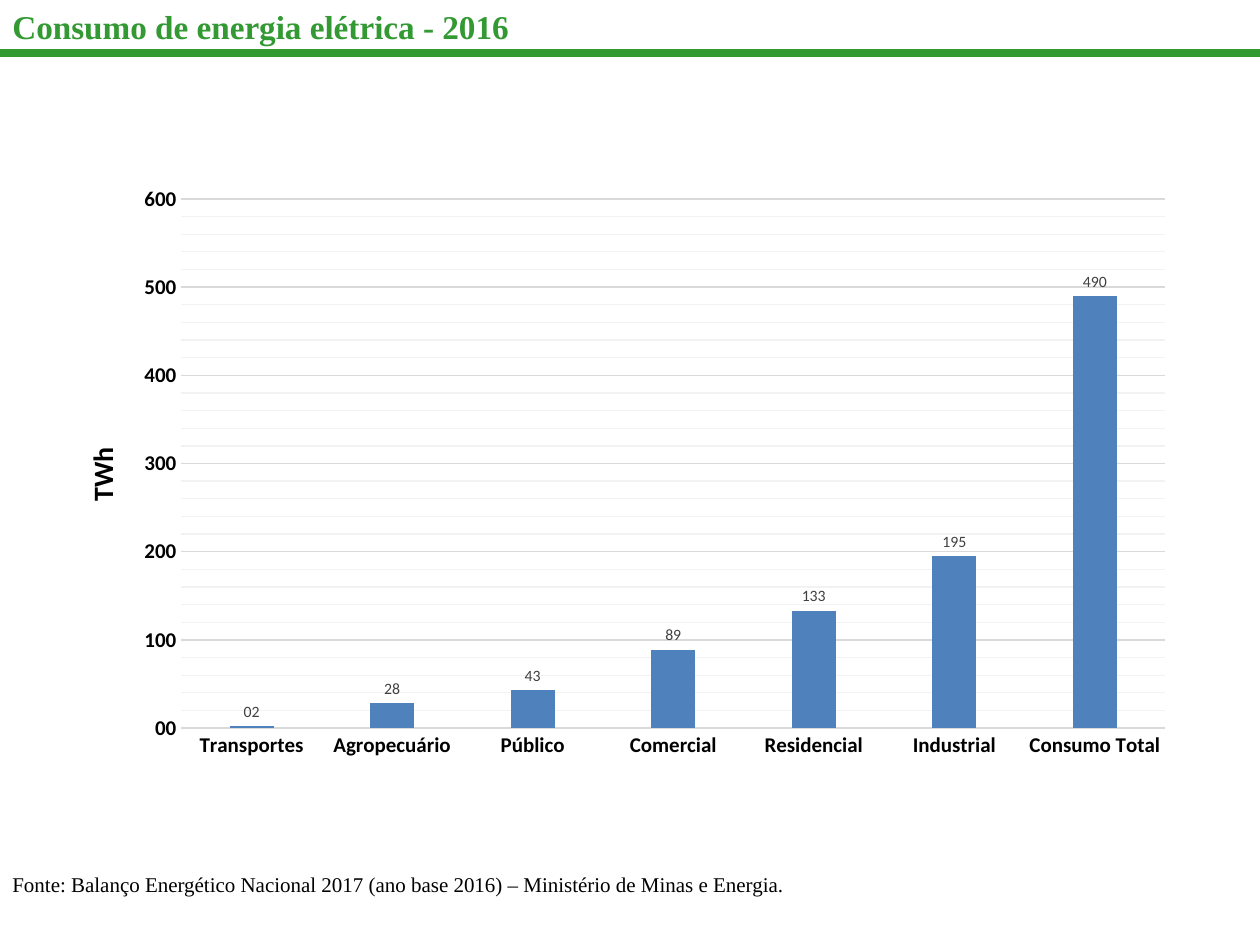
from copy import deepcopy

from lxml import etree
from pptx import Presentation
from pptx.chart.data import CategoryChartData
from pptx.dml.color import RGBColor
from pptx.enum.chart import XL_CHART_TYPE, XL_LABEL_POSITION, XL_TICK_MARK
from pptx.enum.shapes import MSO_CONNECTOR
from pptx.oxml.ns import qn
from pptx.util import Inches, Pt

COLUMN = XL_CHART_TYPE.COLUMN_CLUSTERED
OUTSIDE_END = XL_LABEL_POSITION.OUTSIDE_END
NO_TICK = XL_TICK_MARK.NONE
STRAIGHT = MSO_CONNECTOR.STRAIGHT

GREEN, BLACK, GRID, MINOR_GRID = "339933", "000000", "D9D9D9", "F2F2F2"
BAR, LABEL = "4F81BD", "404040"
SERIF, SANS = "Times New Roman", "Calibri"
NUMBER_FORMAT = "#,#00"

CONSUMPTION = {
    "Transportes": 2,
    "Agropecuário": 28,
    "Público": 43,
    "Comercial": 89,
    "Residencial": 133,
    "Industrial": 195,
    "Consumo Total": 490,
}


def rgb(value):
    return RGBColor.from_string(value)


def set_attrs(target, **values):
    for name, value in values.items():
        setattr(target, name, value)


def set_font(font, color, **values):
    set_attrs(font, **values)
    font.color.rgb = rgb(color)


def set_line(line, color, width):
    line.color.rgb = rgb(color)
    line.width = Pt(width)


def add_text(s, box, text, color, **font):
    tf = s.shapes.add_textbox(*map(Inches, box)).text_frame
    tf.word_wrap = True
    r = tf.paragraphs[0].add_run()
    r.text = text
    set_font(r.font, color, name=SERIF, **font)


def add_header(s, box, text):
    left, top, width, height = box
    add_text(s, box, text, GREEN, size=Pt(19), bold=True)
    bottom = Inches(top + height)
    rule = s.shapes.add_connector(
        STRAIGHT, Inches(left), bottom, Inches(left + width), bottom)
    set_line(rule.line, GREEN, 4.5)
    etree.SubElement(rule._element.spPr, qn("a:effectLst"))


def set_layout(element, index, **values):
    old = element.find(qn("c:layout"))
    if old is not None:
        element.remove(old)
    layout = etree.Element(qn("c:layout"))
    manual = etree.SubElement(layout, qn("c:manualLayout"))
    for name, value in values.items():
        etree.SubElement(manual, qn(f"c:{name}")).set("val", str(value))
    element.insert(index, layout)


def style_gridlines(axis):
    set_attrs(axis, has_major_gridlines=True, has_minor_gridlines=True)
    line = axis.major_gridlines.format.line
    set_line(line, MINOR_GRID, 0.75)
    major = axis._element.find(qn("c:majorGridlines"))
    minor = axis._element.find(qn("c:minorGridlines"))
    minor.append(deepcopy(major.find(qn("c:spPr"))))
    set_line(line, GRID, 0.75)


def style_axes(chart):
    for axis in (chart.category_axis, chart.value_axis):
        set_attrs(axis, major_tick_mark=NO_TICK, minor_tick_mark=NO_TICK)
        set_font(axis.tick_labels.font, BLACK,
                 name=SANS, size=Pt(12), bold=True)
    set_line(chart.category_axis.format.line, GRID, 0.75)

    values = chart.value_axis
    set_attrs(values, minimum_scale=0, maximum_scale=600, major_unit=100,
              minor_unit=20, has_title=True)
    values.format.line.fill.background()
    style_gridlines(values)
    set_attrs(values.tick_labels, number_format=NUMBER_FORMAT,
              number_format_is_linked=False)

    title = values.axis_title
    tf = title.text_frame
    r = tf.paragraphs[0].add_run()
    r.text = "TWh"
    set_font(r.font, BLACK, name=SANS, size=Pt(16), bold=True)
    body = tf._txBody.find(qn("a:bodyPr"))
    body.set("rot", "-5400000")
    body.set("vert", "horz")
    set_layout(title._element, 1, xMode="edge", yMode="edge", x=0.03, y=0.45)


def add_consumption_chart(s, box):
    data = CategoryChartData()
    data.categories = list(CONSUMPTION)
    data.add_series("Series 1", list(CONSUMPTION.values()))
    chart = s.shapes.add_chart(COLUMN, *map(Inches, box), data).chart
    set_attrs(chart, has_title=False, has_legend=False)
    set_font(chart.font, BLACK, name=SANS, size=Pt(10))
    style_axes(chart)

    plot = chart.plots[0]
    set_attrs(plot, gap_width=219, overlap=-27, vary_by_categories=False)
    series = plot.series[0]
    series.format.fill.solid()
    series.format.fill.fore_color.rgb = rgb(BAR)
    labels = series.data_labels
    set_attrs(labels, show_value=True, position=OUTSIDE_END,
              number_format=NUMBER_FORMAT, number_format_is_linked=False)
    set_font(labels.font, LABEL, name=SANS, size=Pt(9), bold=False)
    set_layout(chart._chartSpace.chart.plotArea, 0, layoutTarget="inner",
               xMode="edge", yMode="edge", x=0.12, y=0.04, w=0.86, h=0.89)


def main():
    prs = Presentation()
    set_attrs(prs, slide_width=Inches(10), slide_height=Inches(7.5))
    s = prs.slides.add_slide(prs.slide_layouts[6])
    add_header(s, (0, 0, 10, 0.42), "Consumo de energia elétrica - 2016")
    add_text(s, (0, 6.87, 10, 0.3),
             "Fonte: Balanço Energético Nacional 2017 (ano base 2016) – "
             "Ministério de Minas e Energia.", BLACK, size=Pt(12))
    add_consumption_chart(s, (0.35, 1.39, 9.08, 4.72))
    prs.save("out.pptx")


if __name__ == "__main__":
    main()
